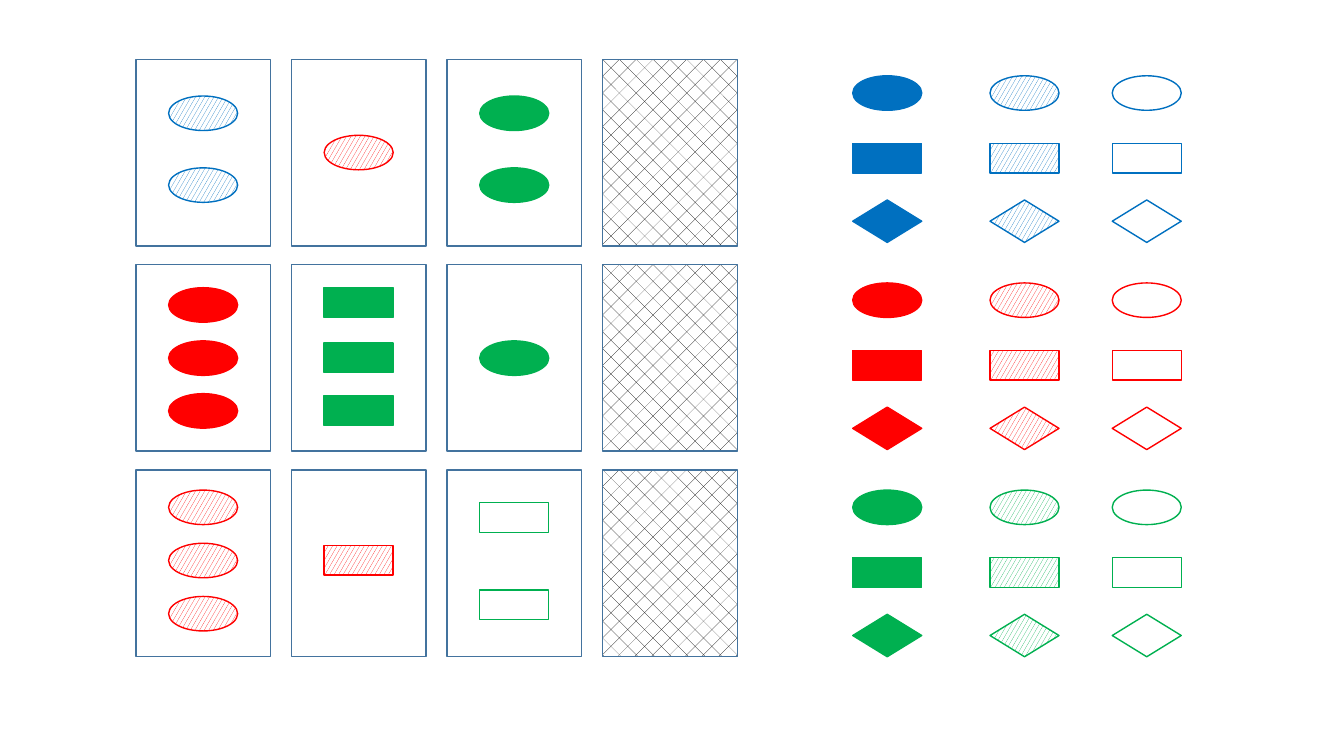
from pptx import Presentation
from pptx.dml.color import RGBColor
from pptx.enum.dml import MSO_PATTERN
from pptx.enum.shapes import MSO_SHAPE
from pptx.util import Cm, Pt

BLUE, RED, GREEN = "0070C0", "FF0000", "00B050"
WHITE, BLACK, CARD_EDGE = "FFFFFF", "000000", "43739E"
SOLID, HATCHED, OPEN, CLEAR, BACK = "solid", "hatched", "open", "clear", "back"
OVAL, BAR, DIAMOND = MSO_SHAPE.OVAL, MSO_SHAPE.RECTANGLE, MSO_SHAPE.FLOWCHART_DECISION
SYMBOL_WIDTH = 1.74
SYMBOL_HEIGHT = {OVAL: 0.87, BAR: 0.75, DIAMOND: 1.07}
CARD_WIDTH, CARD_HEIGHT = 3.39, 4.7


def color(hex_text):
    """Turn a hex string into a colour."""
    return RGBColor.from_string(hex_text)


def draw(shapes, kind, left, top, width, height, edge, filling):
    """Draw one outlined shape, in centimetres, with the named filling."""
    box = shapes.add_shape(kind, Cm(left), Cm(top), Cm(width), Cm(height))
    box.shadow.inherit = False
    box.line.color.rgb = color(edge)
    box.line.width = Pt(1)
    if filling == CLEAR:
        box.fill.background()
    elif filling in (HATCHED, BACK):
        box.fill.patterned()
        hatched = filling == HATCHED
        box.fill.pattern = MSO_PATTERN.LARGE_CONFETTI if hatched else MSO_PATTERN.DOTTED_DIAMOND
        box.fill.fore_color.rgb = color(edge if hatched else BLACK)
        box.fill.back_color.rgb = color(WHITE)
    else:
        box.fill.solid()
        box.fill.fore_color.rgb = color(edge if filling == SOLID else WHITE)


deck = Presentation()
deck.slide_width, deck.slide_height = Cm(33.87), Cm(19.05)
page = deck.slides.add_slide(deck.slide_layouts[6])

# Cards: three face-up columns and one face-down column
card_lefts = [3.43 + 3.92 * column for column in range(4)]
card_tops = [1.5 + 5.17 * row for row in range(3)]
for card_top in card_tops:
    for column, card_left in enumerate(card_lefts):
        draw(page.shapes, BAR, card_left, card_top, CARD_WIDTH, CARD_HEIGHT,
             CARD_EDGE, BACK if column == 3 else OPEN)

# Legend: every colour, symbol and filling
for block, hue in enumerate([BLUE, RED, GREEN]):
    for filling, left in [(SOLID, 21.49), (HATCHED, 24.95), (OPEN, 28.03)]:
        if hue == RED and filling == OPEN:
            filling = CLEAR
        for kind, top in [(OVAL, 1.91), (BAR, 3.61), (DIAMOND, 5.04)]:
            draw(page.shapes, kind, left, top + 5.22 * block,
                 SYMBOL_WIDTH, SYMBOL_HEIGHT[kind], hue, filling)

# Card faces: row, column, symbol, colour, filling, tops of the symbols
faces = [
    (0, 0, OVAL, BLUE, HATCHED, [2.42, 4.23]),
    (0, 1, OVAL, RED, HATCHED, [3.41]),
    (0, 2, OVAL, GREEN, SOLID, [2.42, 4.23]),
    (1, 0, OVAL, RED, SOLID, [7.25, 8.59, 9.92]),
    (1, 1, BAR, GREEN, SOLID, [7.25, 8.64, 9.97]),
    (1, 2, OVAL, GREEN, SOLID, [8.59]),
    (2, 0, OVAL, RED, HATCHED, [12.35, 13.69, 15.03]),
    (2, 1, BAR, RED, HATCHED, [13.74]),
    (2, 2, BAR, GREEN, OPEN, [12.67, 14.87]),
]
for row, column, kind, hue, filling, tops in faces:
    pair_is_grouped = (row, column) == (0, 0)
    shapes = page.shapes.add_group_shape().shapes if pair_is_grouped else page.shapes
    for top in tops:
        draw(shapes, kind, card_lefts[column] + 0.82, top,
             SYMBOL_WIDTH, SYMBOL_HEIGHT[kind], hue, filling)

deck.save("out.pptx")
